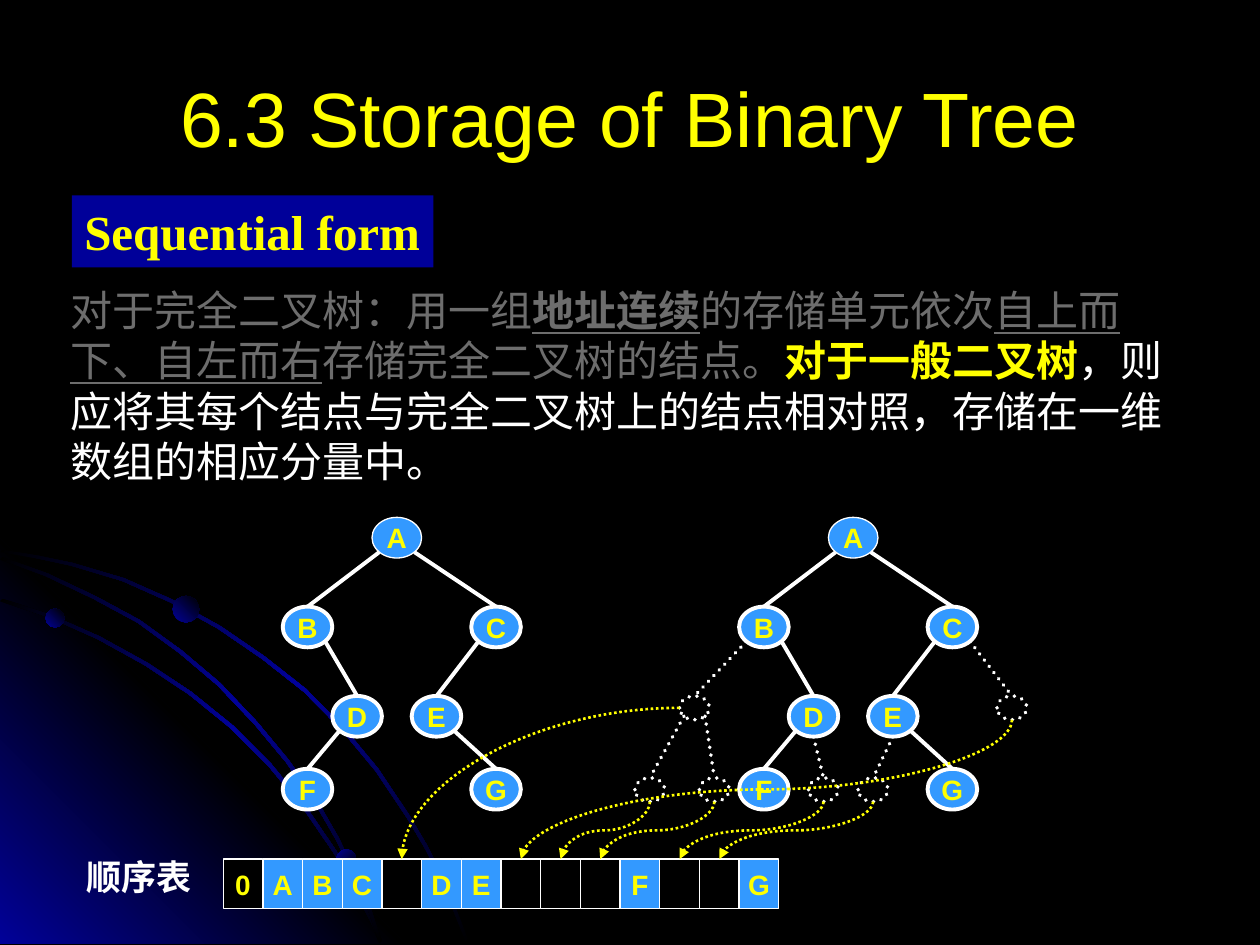
"""Build the slide on sequential storage of binary trees."""
import copy
import dataclasses

import lxml.etree
import pptx
import pptx.dml.color
import pptx.enum.dml
import pptx.enum.shapes
import pptx.enum.text
import pptx.oxml.ns
import pptx.util

Cm, Pt = pptx.util.Cm, pptx.util.Pt
qn = pptx.oxml.ns.qn
SHAPE = pptx.enum.shapes.MSO_SHAPE
CONNECTOR = pptx.enum.shapes.MSO_CONNECTOR
ALIGN = pptx.enum.text.PP_ALIGN
ANCHOR = pptx.enum.text.MSO_ANCHOR


@dataclasses.dataclass(frozen=True)
class Theme:
    black: str = "000000"
    white: str = "FFFFFF"
    yellow: str = "FFFF00"
    gray: str = "6D6D6D"
    blue: str = "3399FF"
    navy: str = "000099"
    glow: str = "010199"
    sans: str = "Arial"
    serif: str = "Times New Roman"
    chinese: str = "Noto Sans CJK SC"
    title: int = 44
    heading: int = 28
    body: int = 24
    label: int = 20
    node: int = 16
    thin: float = 0.75
    arrow: float = 1.5
    thick: float = 2.25


THEME = Theme()


@dataclasses.dataclass(frozen=True)
class Oval:
    x: float
    y: float
    width: float = 1.0
    height: float = 0.82

    def rim(self, across, down):
        factor = 0.71 if across and down else 1
        return (self.x + across * factor * self.width / 2,
                self.y + down * factor * self.height / 2)


NODES = {"A": Oval(8, 10.84), "B": Oval(6.2, 12.64), "C": Oval(10, 12.64),
         "D": Oval(7.2, 14.44), "E": Oval(8.8, 14.44),
         "F": Oval(6.2, 15.91), "G": Oval(10, 15.91)}
EDGES = [("A", "B", -1), ("A", "C", 1), ("B", "D", 1),
         ("C", "E", -1), ("D", "F", -1), ("E", "G", 1)]
TREE_SHIFT = 9.2
GAPS = {4: (14, 14.27), 7: (20.4, 14.27), 8: (13.1, 15.92),
        9: (14.4, 15.92), 11: (16.6, 15.92), 12: (17.6, 15.92)}
GAP_EDGES = [("B", 4, -1), (4, 8, -1), (4, 9, 1),
             ("D", 11, 0), ("E", 12, 0), ("C", 7, 1)]
CELLS = "0ABC DE   F  G"
CELL_LEFT, CELL_TOP, CELL_WIDTH, CELL_HEIGHT = 4.5, 17.32, 0.8, 1.0
BODY = [("对于完全二叉树：用一组", THEME.gray, False, False),
        ("地址连续", THEME.gray, True, True),
        ("的存储单元依次", THEME.gray, False, False),
        ("自上而下、自左而右", THEME.gray, False, True),
        ("存储完全二叉树的结点。", THEME.gray, False, False),
        ("对于一般二叉树", THEME.yellow, True, False),
        ("，则应将其每个结点与完全二叉树上的结点相对照，存储在一维数组的相应分量中。",
         THEME.white, False, False)]
ARCS = [
    [(0, 11.13), (0.71, 11.25), (1.42, 11.4), (2.46, 11.71), (3.43, 12.14),
     (4.39, 12.67), (5.28, 13.28), (6.12, 13.94), (6.88, 14.71), (7.57, 15.54),
     (8.2, 16.48), (8.56, 17.09), (8.89, 17.73), (9.14, 18.36), (9.4, 19.02)],
    [(0, 12.12), (0.99, 12.45), (1.96, 12.88), (2.92, 13.41), (3.81, 14),
     (4.65, 14.68), (5.41, 15.44), (6.1, 16.28), (6.73, 17.2), (7.24, 18.14),
     (7.47, 18.59), (7.65, 19.02)],
    [(0, 11.28), (0.91, 11.61), (1.88, 12.07), (2.77, 12.55), (3.61, 13.16),
     (4.39, 13.82), (5.13, 14.6), (5.77, 15.37), (6.4, 16.28), (6.78, 16.94),
     (7.11, 17.63), (7.42, 18.34), (7.65, 19.02)],
]
PLANETS = [(1.11, 12.46, 0.38, 45), (6.98, 17.32, 0.4, 315), (3.75, 12.28, 0.53, 45)]


def rgb(color):
    return pptx.dml.color.RGBColor.from_string(color)


def set_font(font, name, size, color, bold=False):
    font.name, font.size, font.bold = name, Pt(size), bold
    font.color.rgb = rgb(color)


def set_line(line, color, width, dotted=False):
    line.color.rgb, line.width = rgb(color), Pt(width)
    if dotted:
        line.dash_style = pptx.enum.dml.MSO_LINE.ROUND_DOT


def round_dots(shape):
    shape._element.spPr.find(qn("a:ln")).set("cap", "rnd")


def set_gradient(shape, colors, angle):
    shape.shadow.inherit = False
    shape.line.fill.background()
    shape.fill.gradient()
    shape.fill.gradient_angle = angle
    stop_list = shape._element.spPr.find(".//" + qn("a:gsLst"))
    for _ in colors[2:]:
        stop_list.append(copy.deepcopy(stop_list[0]))
    for index, (stop, color) in enumerate(zip(shape.fill.gradient_stops, colors)):
        stop.color.rgb = rgb(color)
        stop.position = index / (len(colors) - 1)


def add_outline(shapes, points, colors, angle):
    first, *rest = [(x * 100, y * 100) for x, y in points]
    builder = shapes.build_freeform(*first, scale=Cm(0.01))
    builder.add_line_segments(rest, close=True)
    set_gradient(builder.convert_to_shape(), colors, angle)


def add_backdrop(slide):
    shapes = slide.shapes.add_group_shape().shapes
    dark_ends = [THEME.black, THEME.glow, THEME.black]
    bright_ends = [THEME.glow, THEME.black, THEME.glow]
    add_outline(shapes, [(8.18, 19.03), (0, 19.03), (0, 10.85)], bright_ends, 45)
    for arc in ARCS:
        upper = [(x + 0.05, y - 0.05) for x, y in reversed(arc)]
        add_outline(shapes, arc + upper, dark_ends, 315)
    for x, y, size, angle in PLANETS:
        planet = shapes.add_shape(SHAPE.OVAL, Cm(x - size / 2), Cm(y - size / 2),
                                  Cm(size), Cm(size))
        set_gradient(planet, [THEME.glow, THEME.black], angle)


def add_text(slide, box, runs, name, size, wrap=True):
    shape = slide.shapes.add_textbox(*map(Cm, box))
    shape.text_frame.word_wrap = wrap
    paragraph = shape.text_frame.paragraphs[0]
    set_font(paragraph.font, name, size, runs[0][1], runs[0][2])
    for text, color, bold, underline in runs:
        run = paragraph.add_run()
        run.text = text
        if len(runs) > 1:
            set_font(run.font, name, size, color, bold)
            run.font.underline = underline
        if not text.isascii():
            paragraph.line_spacing = Pt(1.2 * size)
            paragraph._p.get_or_add_pPr().set("hangingPunct", "0")
            properties = run._r.get_or_add_rPr()
            lxml.etree.SubElement(properties, qn("a:ea"), typeface=THEME.chinese)
    return shape


def add_letter_shape(shapes, kind, box, text, fill, width):
    shape = shapes.add_shape(kind, *map(Cm, box))
    shape.shadow.inherit = False
    shape.fill.solid()
    shape.fill.fore_color.rgb = rgb(fill)
    set_line(shape.line, THEME.white, width)
    if text:
        frame = shape.text_frame
        frame.word_wrap, frame.vertical_anchor = False, ANCHOR.MIDDLE
        frame.text = text
        frame.paragraphs[0].alignment = ALIGN.CENTER
        set_font(frame.paragraphs[0].font, THEME.sans, THEME.node, THEME.yellow, True)


def add_line(shapes, start, end, color, width, dotted=False, kind=CONNECTOR.STRAIGHT):
    connector = shapes.add_connector(kind, *map(Cm, (*start, *end)))
    set_line(connector.line, color, width, dotted)
    lxml.etree.SubElement(connector._element.spPr, qn("a:effectLst"))
    return connector


def add_tree(shapes, shift):
    nodes = {name: dataclasses.replace(oval, x=oval.x + shift)
             for name, oval in NODES.items()}
    for name, oval in nodes.items():
        box = (oval.x - oval.width / 2, oval.y - oval.height / 2, oval.width, oval.height)
        width = THEME.thin if name == "A" else THEME.thick
        add_letter_shape(shapes, SHAPE.OVAL, box, name, THEME.blue, width)
    for parent, child, side in EDGES:
        add_line(shapes, nodes[parent].rim(side, 1), nodes[child].rim(0, -1),
                 THEME.white, THEME.thick)
    return nodes


def add_gaps(shapes, nodes):
    gaps = {index: Oval(x, y, 0.6, 0.48) for index, (x, y) in GAPS.items()}
    for oval in gaps.values():
        shape = shapes.add_shape(
            SHAPE.OVAL, Cm(oval.x - oval.width / 2), Cm(oval.y - oval.height / 2),
            Cm(oval.width), Cm(oval.height))
        shape.shadow.inherit = False
        shape.fill.background()
        set_line(shape.line, THEME.white, THEME.thick, dotted=True)
        round_dots(shape)
    ovals = {**nodes, **gaps}
    for parent, child, side in GAP_EDGES:
        round_dots(add_line(shapes, ovals[parent].rim(side, 1), ovals[child].rim(0, -1),
                            THEME.white, THEME.thick, dotted=True))
    return gaps


def add_cells(slide):
    for index, letter in enumerate(CELLS):
        box = (CELL_LEFT + index * CELL_WIDTH, CELL_TOP, CELL_WIDTH, CELL_HEIGHT)
        fill = THEME.blue if letter.isalpha() else THEME.black
        add_letter_shape(slide.shapes, SHAPE.RECTANGLE, box, letter.strip(), fill, THEME.thin)


def add_arrow(slide, oval, index):
    end = CELL_LEFT + (index + 0.5) * CELL_WIDTH, CELL_TOP
    sideways = index == 4
    start = oval.rim(-1, 0) if sideways else oval.rim(0, 1)
    begin, finish = start, end
    if not sideways:
        x, y = (start[0] + end[0]) / 2, (start[1] + end[1]) / 2
        across, down = (end[1] - start[1]) / 2, (start[0] - end[0]) / 2
        begin, finish = (x - across, y - down), (x + across, y + down)
    arrow = add_line(slide.shapes, begin, finish, THEME.yellow, THEME.arrow,
                     dotted=True, kind=CONNECTOR.CURVE)
    properties = arrow._element.spPr
    lxml.etree.SubElement(properties.find(qn("a:ln")), qn("a:tailEnd"), type="triangle")
    if sideways:
        properties.find(qn("a:prstGeom")).set("prst", "curvedConnector2")
    else:
        properties.find(qn("a:xfrm")).set("rot", "5400000")


def main():
    presentation = pptx.Presentation()
    presentation.slide_width, presentation.slide_height = Cm(25.4), Cm(19.05)
    slide = presentation.slides.add_slide(presentation.slide_layouts[6])
    slide.background.fill.solid()
    slide.background.fill.fore_color.rgb = rgb(THEME.black)
    add_backdrop(slide)
    add_text(slide, (1.17, 5.61, 23.34, 4.37), BODY, THEME.serif, THEME.body)
    title = add_text(slide, (1.27, 0.76, 22.86, 3.18),
                     [("6.3 Storage of Binary Tree", THEME.yellow, False, False)],
                     THEME.sans, THEME.title)
    title.text_frame.vertical_anchor = ANCHOR.MIDDLE
    title.text_frame.paragraphs[0].alignment = ALIGN.CENTER
    add_tree(slide.shapes.add_group_shape().shapes, 0)
    shapes = slide.shapes.add_group_shape().shapes
    gaps = add_gaps(shapes, add_tree(shapes, TREE_SHIFT))
    add_cells(slide)
    add_text(slide, (1.5, 17.12, 2.64, 1.09), [("顺序表", THEME.white, True, False)],
             THEME.sans, THEME.label, wrap=False)
    for index, oval in gaps.items():
        add_arrow(slide, oval, index)
    heading = add_text(slide, (1.45, 3.94, 7.29, 1.45),
                       [("Sequential form", THEME.yellow, True, False)],
                       THEME.serif, THEME.heading, wrap=False)
    heading.fill.solid()
    heading.fill.fore_color.rgb = rgb(THEME.navy)
    presentation.save("out.pptx")


if __name__ == "__main__":
    main()
